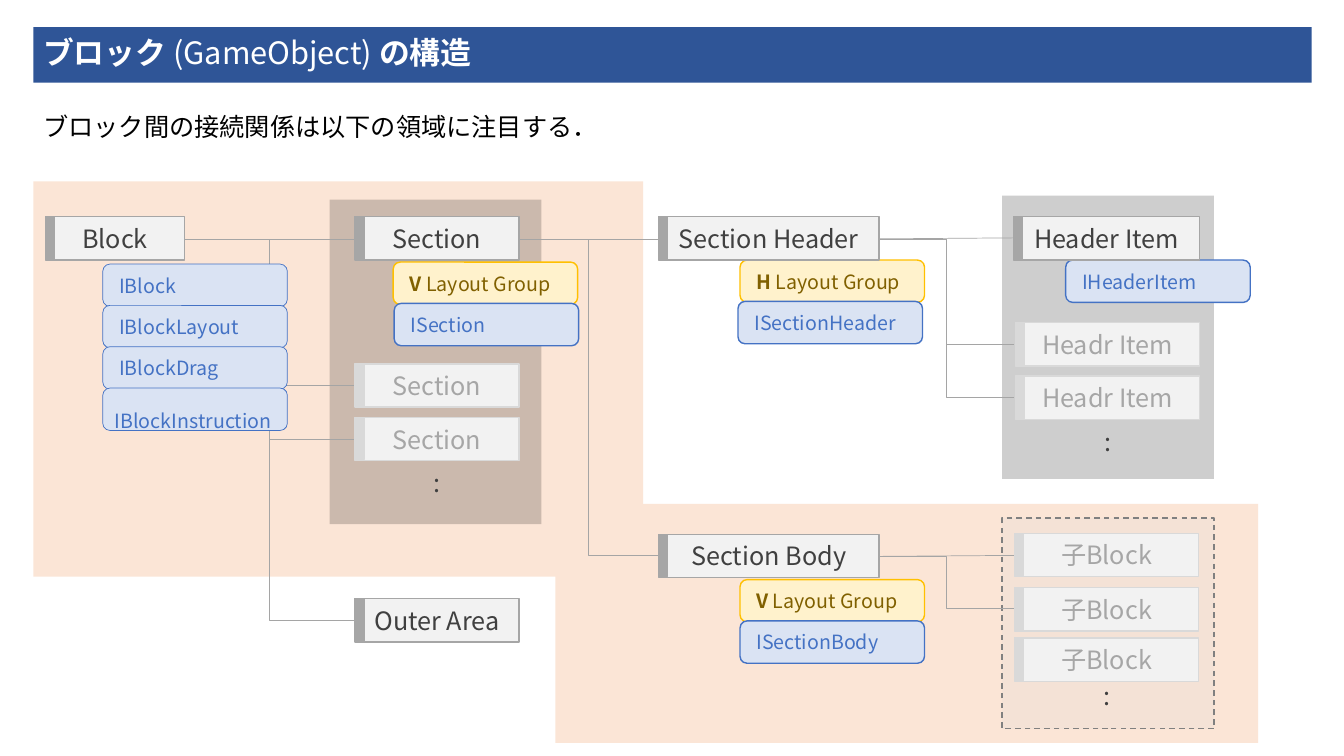
from lxml.etree import SubElement
from pptx import Presentation
from pptx.dml.color import RGBColor
from pptx.enum.dml import MSO_LINE
from pptx.enum.shapes import MSO_CONNECTOR, MSO_SHAPE
from pptx.enum.text import MSO_ANCHOR, PP_ALIGN
from pptx.oxml.ns import qn
from pptx.util import Inches, Pt

COLORS = {
    "banner": "2F5597", "white": "FFFFFF", "black": "000000",
    "region": "FBE5D6", "shade": "0D0D0D", "child_area": "D9D9D9", "dash": "808080",
    "line": "A5A5A5", "node": "F2F2F2",
    "active": "A6A6A6", "active_text": "404040",
    "faded": "D9D9D9", "faded_text": "A6A6A6",
    "interface": "DAE3F3", "interface_line": "4472C4", "interface_text": "4472C4",
    "layout": "FFF2CC", "layout_line": "FFC000", "layout_text": "806000",
}
FONT = "Noto Sans CJK JP"

COLUMNS = {"margin": 0.33, "block": 0.45, "section": 3.52, "part": 6.53, "item": 10.06}
ROWS = {"top": 2.15, "body": 5.3, "outer": 5.94}
NODE_HEIGHT = 0.43
TAG_WIDTH, TAG_HEIGHT, TAG_PITCH = 1.83, 0.42, 0.41
SECTION_WIDTH, PART_WIDTH, ITEM_WIDTH = 1.63, 2.19, 1.83
ACCENT_WIDTH = 0.09


def color(name):
    return RGBColor.from_string(COLORS[name])


def add_box(shapes, place, fill, line=None, weight=1, preset=MSO_SHAPE.RECTANGLE):
    shape = shapes.add_shape(preset, *map(Inches, place))
    shape.shadow.inherit = False
    shape.fill.solid()
    shape.fill.fore_color.rgb = color(fill)
    if line:
        shape.line.color.rgb = color(line)
        shape.line.width = Pt(weight)
    else:
        shape.line.fill.background()
    return shape


def add_panel(shapes, place, fill, line=None):
    shape = add_box(shapes, place, fill, line)
    fill_color = shape.fill._xPr.find(qn("a:solidFill"))[0]
    SubElement(fill_color, qn("a:alpha"), val="20000")
    if line:
        shape.line.dash_style = MSO_LINE.DASH


def write(shape, runs, size, text_color, align=PP_ALIGN.LEFT):
    frame = shape.text_frame
    frame.word_wrap = True
    frame.vertical_anchor = MSO_ANCHOR.MIDDLE
    paragraph = frame.paragraphs[0]
    paragraph.alignment = align
    for text, bold in runs:
        run = paragraph.add_run()
        run.text = text
        run.font.size = Pt(size)
        run.font.bold = bold
        run.font.name = FONT
        run.font.color.rgb = color(text_color)
        SubElement(run.font._element, qn("a:ea"), typeface=FONT)
    return paragraph


def add_label(shapes, place, text, text_color, align=PP_ALIGN.LEFT):
    label = shapes.add_textbox(*map(Inches, place))
    write(label, [(text, False)], 18, text_color, align)


def add_node(shapes, left, top, width, text, state="active"):
    group = shapes.add_group_shape()
    body = add_box(group.shapes, (left, top, width, NODE_HEIGHT), "node", state)
    write(body, [(text, False)], 18, state + "_text", PP_ALIGN.CENTER)
    add_box(group.shapes, (left, top, ACCENT_WIDTH, NODE_HEIGHT - 0.01), state, state)


def add_tag(shapes, left, top, runs, style, weight=1):
    tag = add_box(shapes, (left, top, TAG_WIDTH, TAG_HEIGHT), style, style + "_line",
                  weight, MSO_SHAPE.ROUNDED_RECTANGLE)
    write(tag, runs, 14, style + "_text")


def add_interface(shapes, left, top, name, weight=1):
    add_tag(shapes, left, top, [(" " + name, False)], "interface", weight)


def add_layout_group(shapes, left, top, direction):
    runs = [(" ", False), (direction, True), (" Layout Group", False)]
    add_tag(shapes, left, top, runs, "layout")


def add_branches(shapes, start, right, ends):
    left, top = start
    for end in ends:
        kind = MSO_CONNECTOR.STRAIGHT if abs(end - top) < 0.02 else MSO_CONNECTOR.ELBOW
        connector = shapes.add_connector(kind, *map(Inches, (left, top, right, end)))
        connector.line.color.rgb = color("line")
        connector.line.width = Pt(0.5)
        SubElement(connector._element.spPr, qn("a:effectLst"))


def add_heading(shapes):
    banner = add_box(shapes, (COLUMNS["margin"], 0.27, 12.68, 0.55), "banner")
    runs = [("ブロック ", True), ("(GameObject) ", False), ("の構造", True)]
    write(banner, runs, 22, "white").line_spacing = 0.9
    add_label(shapes, (COLUMNS["margin"], 1.05, 12.41, 0.4),
              "ブロック間の接続関係は以下の領域に注目する．", "black")


def add_areas(shapes):
    add_box(shapes, (5.51, 5, 6.97, 2.37), "region")
    add_box(shapes, (COLUMNS["margin"], 1.8, 6.05, 3.92), "region")
    add_panel(shapes, (9.94, 5.14, 2.1, 2.09), "child_area", "dash")
    add_panel(shapes, (9.94, 1.94, 2.1, 2.81), "shade")
    add_panel(shapes, (3.27, 1.98, 2.1, 3.22), "shade")


def add_all_branches(shapes):
    axis = 2.37
    add_branches(shapes, (1.83, axis), COLUMNS["section"], [axis, 3.82, 4.36, 6.15])
    add_branches(shapes, (5.15, axis), COLUMNS["part"], [axis, 5.51])
    add_branches(shapes, (8.71, axis), COLUMNS["item"], [axis - 0.01, 3.42, 3.94])
    add_branches(shapes, (8.72, 5.52), COLUMNS["item"], [5.51, 6.04])


def add_tags(shapes):
    names = ["IBlock", "IBlockLayout", "IBlockDrag", "IBlockInstruction"]
    for index, name in enumerate(names):
        add_interface(shapes, 1.02, 2.62 + index * TAG_PITCH, name, 0.5)
    for left, top, name, shift, direction in [
        (3.9, 2.6, "ISection", 0.01, "V"),
        (7.34, 2.58, "ISectionHeader", -0.02, "H"),
        (7.34, 5.75, "ISectionBody", 0, "V"),
    ]:
        add_layout_group(shapes, left, top, direction)
        add_interface(shapes, left + shift, top + TAG_PITCH, name)
    add_interface(shapes, 10.57, 2.58, "IHeaderItem")


def add_nodes(shapes):
    section, part, item = (COLUMNS[name] for name in ("section", "part", "item"))
    top = ROWS["top"]
    add_node(shapes, COLUMNS["block"], top, 1.38, "Block")
    add_node(shapes, section, top, SECTION_WIDTH, "Section")
    add_node(shapes, section, ROWS["outer"], SECTION_WIDTH, "Outer Area")
    add_node(shapes, part, top, PART_WIDTH, "Section Header")
    add_node(shapes, part, ROWS["body"], PART_WIDTH, "Section Body")
    add_node(shapes, item - 0.01, top, ITEM_WIDTH + 0.02, "Header Item")
    for left, width, text, tops, dots in [
        (section, SECTION_WIDTH, "Section", [3.61, 4.14], 4.57),
        (item + 0.01, ITEM_WIDTH, "Headr Item", [3.2, 3.73], 4.16),
        (item, ITEM_WIDTH, "子Block", [5.29, 5.83, 6.33], 6.68),
    ]:
        for node_top in tops:
            add_node(shapes, left, node_top, width, text, "faded")
        add_label(shapes, (left, dots, width, NODE_HEIGHT), ":", "active_text",
                  PP_ALIGN.CENTER)


def main():
    presentation = Presentation()
    presentation.slide_width = Inches(13.33)
    presentation.slide_height = Inches(7.5)
    slide = presentation.slides.add_slide(presentation.slide_layouts[6])
    for add_part in (add_areas, add_heading, add_all_branches, add_tags, add_nodes):
        add_part(slide.shapes)
    presentation.save("out.pptx")


if __name__ == "__main__":
    main()
